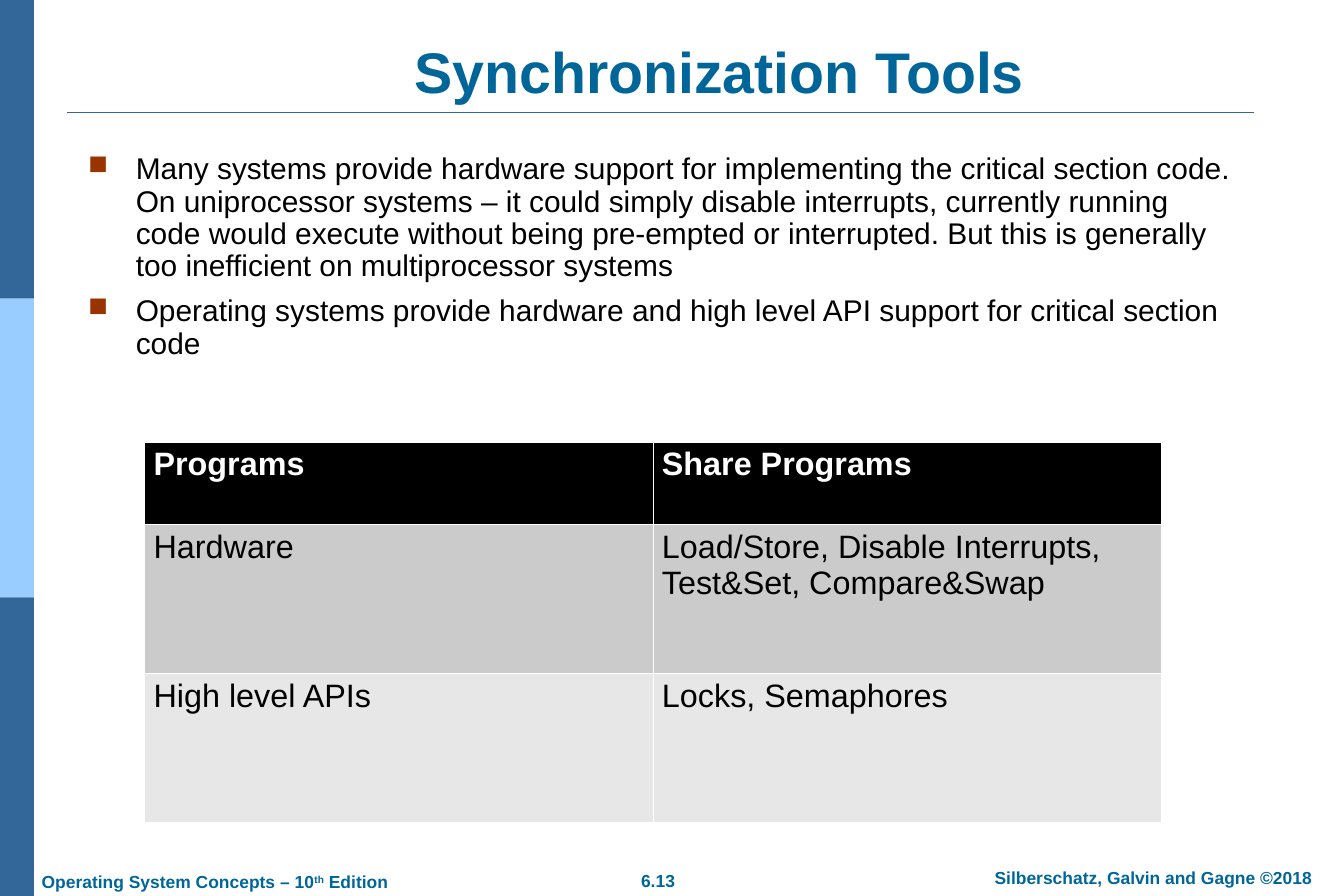
from dataclasses import dataclass

from lxml.etree import SubElement
from pptx import Presentation
from pptx.dml.color import RGBColor
from pptx.enum.shapes import MSO_CONNECTOR, MSO_SHAPE
from pptx.enum.text import MSO_ANCHOR, MSO_AUTO_SIZE as FIT, PP_ALIGN as ALIGN
from pptx.oxml.ns import qn
from pptx.util import Cm, Pt


@dataclass(frozen=True)
class Theme:
    font: str = "Arial"
    heading: str = "006699"
    strip: str = "336699"
    strip_light: str = "99CCFF"
    bullet: str = "993300"
    text: str = "000000"
    white: str = "FFFFFF"
    row_fills: tuple = ("000000", "CBCBCB", "E7E7E7")
    title_size: int = 46
    body_size: int = 24
    table_size: int = 26
    footer_size: int = 14
    thin: float = 0.45
    thick: float = 1.47


@dataclass(frozen=True)
class Footer:
    box: tuple  # left, top, width, height in cm
    runs: tuple  # text, superscript
    align: ALIGN


THEME = Theme()
STRIP_WIDTH = 0.96

TITLE = "Synchronization Tools"
BULLETS = (
    "Many systems provide hardware support for implementing the critical section code. "
    "On uniprocessor systems – it could simply disable interrupts, currently running "
    "code would execute without being pre-empted or interrupted. But this is generally "
    "too inefficient on multiprocessor systems",
    "Operating systems provide hardware and high level API support for critical section code",
)
ROWS = (
    ("Programs", "Share Programs"),
    ("Hardware", "Load/Store, Disable Interrupts, Test&Set, Compare&Swap"),
    ("High level APIs", "Locks, Semaphores"),
)
COLUMN_WIDTH = 14.41
ROW_HEIGHTS = (2.34, 4.22, 4.22)
FOOTERS = (
    Footer((16.89, 24.49, 3.53, 0.97), (("6.13", False),), ALIGN.CENTER),
    Footer((27.05, 24.41, 11.3, 0.97),
           (("Silberschatz, Galvin and Gagne ©2018", False),), ALIGN.CENTER),
    Footer((0.82, 24.51, 11.5, 0.97),
           (("Operating System Concepts – 10", False), ("th", True), (" Edition", False)),
           ALIGN.LEFT),
)


def rgb(color: str) -> RGBColor:
    return RGBColor.from_string(color)


def add_run(p, text: str, size: int, color: str, bold: bool = False):
    r = p.add_run()
    r.text = text
    for name, value in dict(name=THEME.font, size=Pt(size), bold=bold).items():
        setattr(r.font, name, value)
    r.font.color.rgb = rgb(color)
    return r


def format_frame(tf, **extra) -> None:
    values = dict(margin_left=Cm(0.36), margin_right=Cm(0.36), margin_top=Cm(0.18),
                  margin_bottom=Cm(0.18), word_wrap=True, auto_size=FIT.NONE)
    for name, value in {**values, **extra}.items():
        setattr(tf, name, value)


def add_strips(s, height: int) -> None:
    for i, color in enumerate((THEME.strip, THEME.strip_light, THEME.strip)):
        sp = s.shapes.add_shape(MSO_SHAPE.RECTANGLE, 0, height * i // 3,
                                Cm(STRIP_WIDTH), height // 3)
        sp.shadow.inherit = False
        sp.fill.solid()
        sp.fill.fore_color.rgb = rgb(color)
        sp.line.fill.background()


def add_rule(s) -> None:
    line = s.shapes.add_connector(MSO_CONNECTOR.STRAIGHT, Cm(1.9), Cm(3.19), Cm(35.56), Cm(3.19))
    line.line.color.rgb = rgb(THEME.strip)
    line.line.width = Pt(1.5)
    SubElement(line._element.spPr, qn("a:effectLst"))


def set_title(s) -> None:
    sp = s.shapes.title
    sp.left, sp.top, sp.width, sp.height = map(Cm, (4.59, 1.02, 31.6, 2.13))
    format_frame(sp.text_frame, vertical_anchor=MSO_ANCHOR.BOTTOM)
    p = sp.text_frame.paragraphs[0]
    p.alignment = ALIGN.CENTER
    add_run(p, TITLE, THEME.title_size, THEME.heading, True)


def add_bullet(p) -> None:
    pPr = p._p.get_or_add_pPr()
    pPr.set("marL", str(Cm(1.35)))
    pPr.set("indent", str(-Cm(1.35)))
    SubElement(SubElement(pPr, qn("a:buClr")), qn("a:srgbClr"), val=THEME.bullet)
    SubElement(pPr, qn("a:buSzPct"), val="90000")
    SubElement(pPr, qn("a:buChar"), char="■")


def add_body(s) -> None:
    tf = s.shapes.add_textbox(*map(Cm, (2.14, 4.19, 33.27, 6.65))).text_frame
    format_frame(tf)
    for i, text in enumerate(BULLETS):
        p = tf.add_paragraph() if i else tf.paragraphs[0]
        add_bullet(p)
        p.line_spacing = 0.9
        p.space_before = Pt(10.5 if i else 0)
        add_run(p, text, THEME.body_size, THEME.text)


def set_borders(cell, row: int) -> None:
    top = THEME.thick if row == 1 else THEME.thin
    bottom = THEME.thick if row == 0 else THEME.thin
    widths = dict(lnL=THEME.thin, lnR=THEME.thin, lnT=top, lnB=bottom)
    tcPr = cell._tc.get_or_add_tcPr()
    for side, width in widths.items():
        ln = SubElement(tcPr, qn(f"a:{side}"), w=str(Pt(width)))
        SubElement(SubElement(ln, qn("a:solidFill")), qn("a:srgbClr"), val=THEME.white)


def add_tools_table(s) -> None:
    table = s.shapes.add_table(len(ROWS), 2, Cm(4.1), Cm(12.53),
                               Cm(2 * COLUMN_WIDTH), Cm(sum(ROW_HEIGHTS))).table
    table.horz_banding = False
    for column in table.columns:
        column.width = Cm(COLUMN_WIDTH)
    for i, texts in enumerate(ROWS):
        table.rows[i].height = Cm(ROW_HEIGHTS[i])
        header = i == 0
        for j, text in enumerate(texts):
            cell = table.cell(i, j)
            set_borders(cell, i)
            cell.fill.solid()
            cell.fill.fore_color.rgb = rgb(THEME.row_fills[i])
            add_run(cell.text_frame.paragraphs[0], text, THEME.table_size,
                    THEME.white if header else THEME.text, header)


def add_footer(s, footer: Footer) -> None:
    tf = s.shapes.add_textbox(*map(Cm, footer.box)).text_frame
    format_frame(tf)
    p = tf.paragraphs[0]
    p.alignment = footer.align
    for text, superscript in footer.runs:
        r = add_run(p, text, THEME.footer_size, THEME.heading, True)
        if superscript:
            r.font._element.set("baseline", "30000")


def main() -> None:
    prs = Presentation()
    prs.slide_width, prs.slide_height = Cm(38.1), Cm(25.4)
    s = prs.slides.add_slide(prs.slide_layouts[5])
    s.background.fill.solid()
    s.background.fill.fore_color.rgb = rgb(THEME.white)

    # Frame of the slide
    add_strips(s, prs.slide_height)
    add_rule(s)
    for footer in FOOTERS:
        add_footer(s, footer)

    # Content
    set_title(s)
    add_body(s)
    add_tools_table(s)
    prs.save("out.pptx")


if __name__ == "__main__":
    main()
